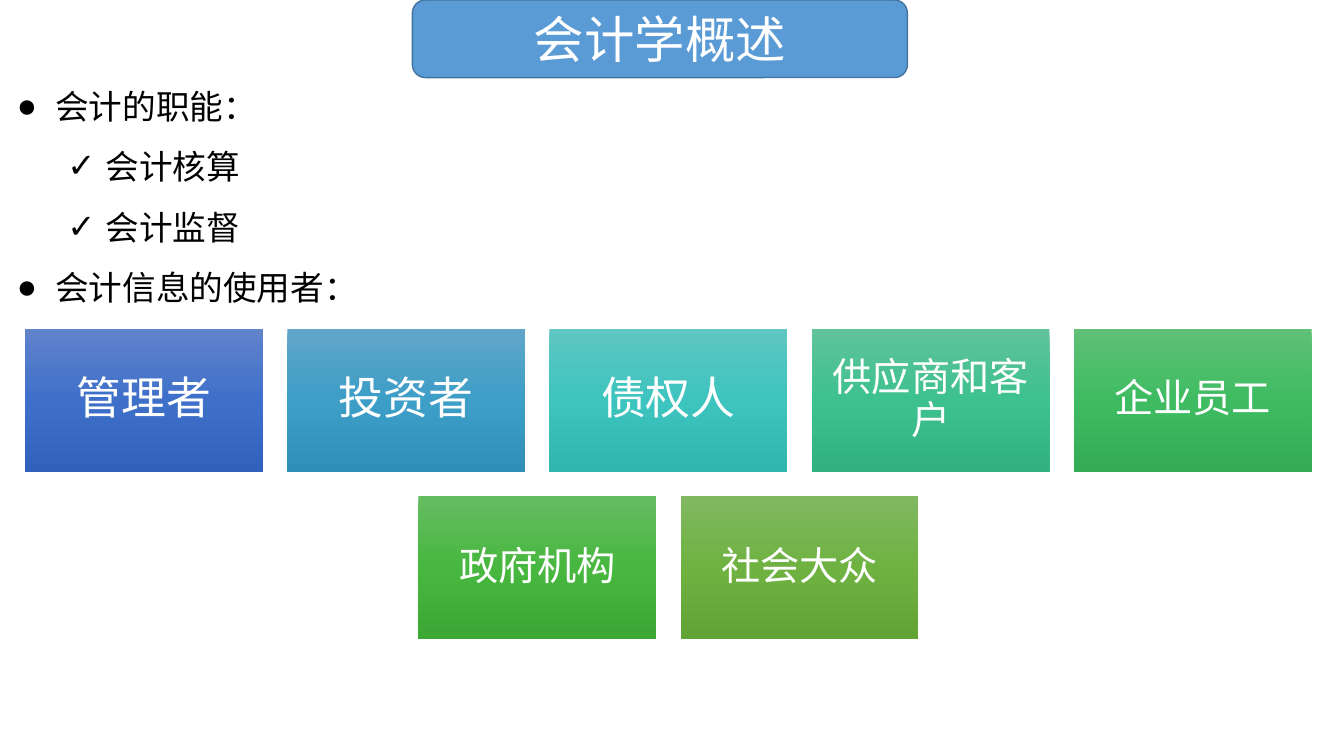
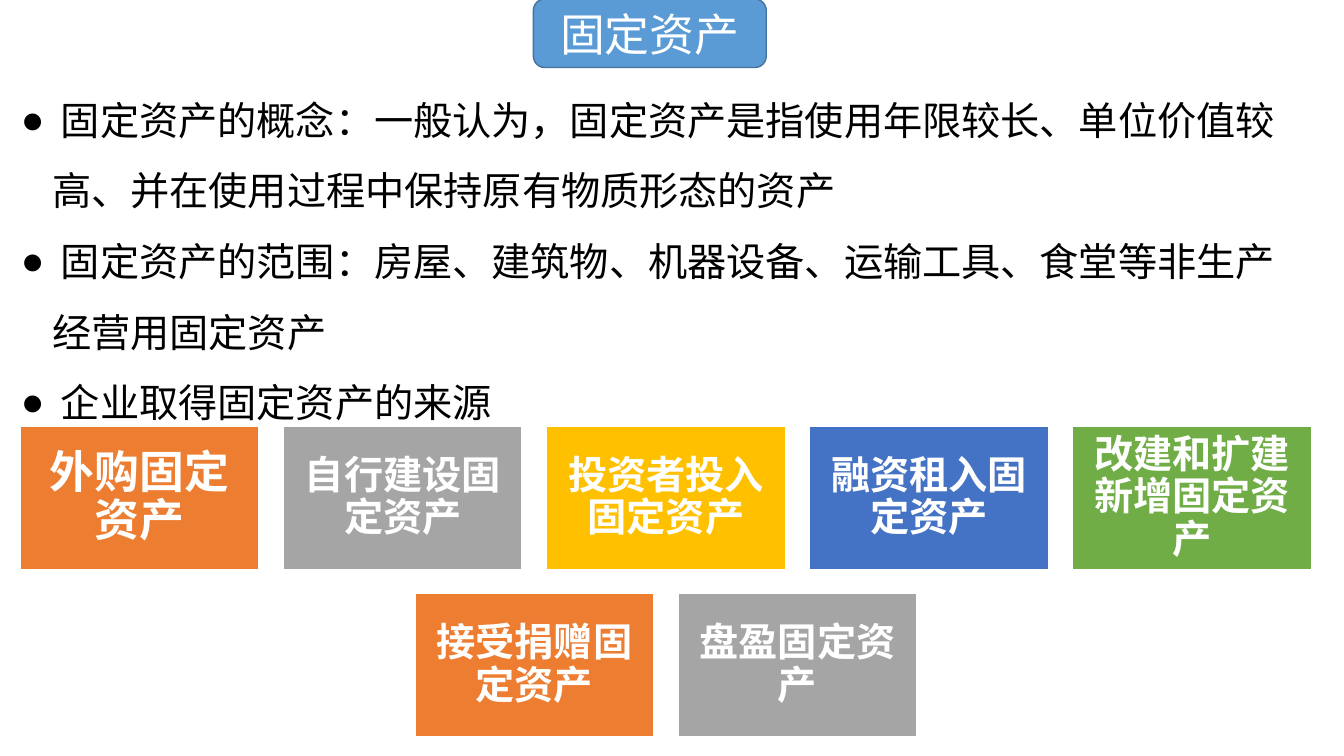
from copy import deepcopy
from dataclasses import dataclass

from pptx import Presentation
from pptx import util as u
from pptx.dml.color import RGBColor
from pptx.enum import shapes, text
from pptx.oxml import ns, xmlchemy


@dataclass(frozen=True)
class Theme:
    font: str = "Calibri"
    ink: str = "000000"
    white: str = "FFFFFF"
    title_fill: str = "5B9BD5"
    title_line: str = "43739E"
    orange: str = "ED7D31"
    grey: str = "A5A5A5"
    gold: str = "FFC000"
    blue: str = "4472C4"
    green: str = "70AD47"
    title_size: int = 36
    large: int = 32
    medium: int = 28
    body: int = 24
    tile_height: float = 1.42
    row_pitch: float = 1.66
    tile_inset: float = 0.12
    columns: int = 5


THEME = Theme()


@dataclass(frozen=True)
class Grid:
    left: float
    top: float
    width: float
    pitch: float
    bold: bool = False
    line: str | None = None


# Each tile: label, type size, fill (one colour, or three for a gradient)
INFORMATION_USERS = [
    ("管理者", THEME.large, ("6183CB", "3E70CA", "3062BB")),
    ("投资者", THEME.large, ("61A6C8", "3D9EC7", "308FB8")),
    ("债权人", THEME.large, ("60C6C1", "3DC4BF", "30B5B0")),
    ("供应商和客户", THEME.medium, ("60C39A", "3DC18F", "31B080")),
    ("企业员工", THEME.medium, ("60C077", "3FBC62", "33AC55")),
    ("政府机构", THEME.medium, ("65BC61", "48B740", "3CA735")),
    ("社会大众", THEME.medium, ("81B861", "6FB242", "62A336")),
]

ASSET_SOURCES = [
    ("外购固定资产", THEME.large, (THEME.orange,)),
    ("自行建设固定资产", THEME.medium, (THEME.grey,)),
    ("投资者投入固定资产", THEME.medium, (THEME.gold,)),
    ("融资租入固定资产", THEME.medium, (THEME.blue,)),
    ("改建和扩建新增固定资产", THEME.medium, (THEME.green,)),
    ("接受捐赠固定资产", THEME.medium, (THEME.orange,)),
    ("盘盈固定资产", THEME.medium, (THEME.grey,)),
]

# Each bullet: mark, left margin, hanging indent, text
FUNCTION_BULLETS = [
    ("●", 0.38, 0.38, "会计的职能："),
    ("✓", 0.88, 0.38, "会计核算"),
    ("✓", 0.88, 0.38, "会计监督"),
    ("●", 0.38, 0.38, "会计信息的使用者："),
]

ASSET_BULLETS = [
    ("●", 0.31, 0.31, " 固定资产的概念：一般认为，固定资产是指使用年限较长、单位价值较高、并在使用过程中保持原有物质形态的资产"),
    ("●", 0.31, 0.31, " 固定资产的范围：房屋、建筑物、机器设备、运输工具、食堂等非生产经营用固定资产"),
    ("●", 0.31, 0.31, " 企业取得固定资产的来源"),
]


def apply(target, values):
    for name, value in values.items():
        setattr(target, name, value)


def style_font(font, size, color, bold=False):
    apply(font, {"name": THEME.font, "size": u.Pt(size), "bold": bold})
    font.color.rgb = RGBColor.from_string(color)


def paint(shape, colors):
    """Fill with one colour, or with evenly spaced stops from top to bottom."""
    fill = shape.fill
    if len(colors) == 1:
        fill.solid()
        fill.fore_color.rgb = RGBColor.from_string(colors[0])
        return
    fill.gradient()
    fill.gradient_angle = 270
    stop_list = shape.element.spPr.find(ns.qn("a:gradFill")).find(ns.qn("a:gsLst"))
    while len(stop_list) < len(colors):
        stop_list.append(deepcopy(stop_list[0]))
    for index, (stop, color) in enumerate(zip(fill.gradient_stops, colors)):
        stop.position = index / (len(colors) - 1)
        stop.color.rgb = RGBColor.from_string(color)


def add_panel(page, kind, place, label, size, colors, line=None, bold=False, inset=0.1):
    """Add a filled shape with a centred white label."""
    shape = page.shapes.add_shape(kind, *map(u.Inches, place))
    shape.shadow.inherit = False
    paint(shape, colors)
    if line:
        shape.line.color.rgb = RGBColor.from_string(line)
        shape.line.width = u.Pt(1)
    else:
        shape.line.fill.background()
    margin = u.Inches(inset)
    apply(shape.text_frame, {
        "word_wrap": True,
        "vertical_anchor": text.MSO_ANCHOR.MIDDLE,
        "margin_left": margin,
        "margin_right": margin,
    })
    para = shape.text_frame.paragraphs[0]
    para.alignment = text.PP_ALIGN.CENTER
    span = para.add_run()
    span.text = label
    style_font(span.font, size, THEME.white, bold)
    return para


def add_title(page, place, label, size):
    add_panel(page, shapes.MSO_SHAPE.ROUNDED_RECTANGLE, place, label, size,
              (THEME.title_fill,), THEME.title_line)


def set_bullet(para, mark, margin, hanging):
    props = para._p.get_or_add_pPr()
    props.set("marL", str(u.Inches(margin)))
    props.set("indent", str(-u.Inches(hanging)))
    for tag, name, value in (("a:buFont", "typeface", "Arial"), ("a:buChar", "char", mark)):
        bullet = xmlchemy.OxmlElement(tag)
        bullet.set(name, value)
        props.append(bullet)


def add_bullets(page, place, items, size):
    box = page.shapes.add_textbox(*map(u.Inches, place))
    frame = box.text_frame
    frame.word_wrap = True
    for index, (mark, margin, hanging, words) in enumerate(items):
        para = frame.add_paragraph() if index else frame.paragraphs[0]
        set_bullet(para, mark, margin, hanging)
        para.line_spacing = 1.5
        span = para.add_run()
        span.text = words
        style_font(span.font, size, THEME.ink)


def add_tiles(page, grid, tiles):
    """Lay tiles out in rows; a short last row is centred under the full one."""
    for start in range(0, len(tiles), THEME.columns):
        row = tiles[start:start + THEME.columns]
        left = grid.left + (THEME.columns - len(row)) / 2 * grid.pitch
        top = grid.top + start // THEME.columns * THEME.row_pitch
        for column, (label, size, colors) in enumerate(row):
            place = (left + column * grid.pitch, top, grid.width, THEME.tile_height)
            para = add_panel(page, shapes.MSO_SHAPE.RECTANGLE, place, label, size, colors,
                             grid.line, grid.bold, THEME.tile_inset)
            para.line_spacing = 0.9


def add_overview_page(page):
    add_title(page, (4.09, 0, 4.91, 0.77), "会计学概述", THEME.title_size)
    add_bullets(page, (0.07, 0.6, 12.96, 2.6), FUNCTION_BULLETS, THEME.body)
    add_tiles(page, Grid(0.25, 3.26, 2.36, 2.6), INFORMATION_USERS)


def add_assets_page(page):
    add_title(page, (5.29, -0.01, 2.31, 0.68), "固定资产", THEME.large)
    add_bullets(page, (0.11, 0.67, 13, 3.6), ASSET_BULLETS, THEME.medium)
    add_tiles(page, Grid(0.2, 4.23, 2.37, 2.61, True, THEME.white), ASSET_SOURCES)


def main():
    deck = Presentation()
    apply(deck, {"slide_width": u.Inches(13.33), "slide_height": u.Inches(7.5)})
    for build in (add_overview_page, add_assets_page):
        build(deck.slides.add_slide(deck.slide_layouts[6]))
    deck.save("out.pptx")


if __name__ == "__main__":
    main()
